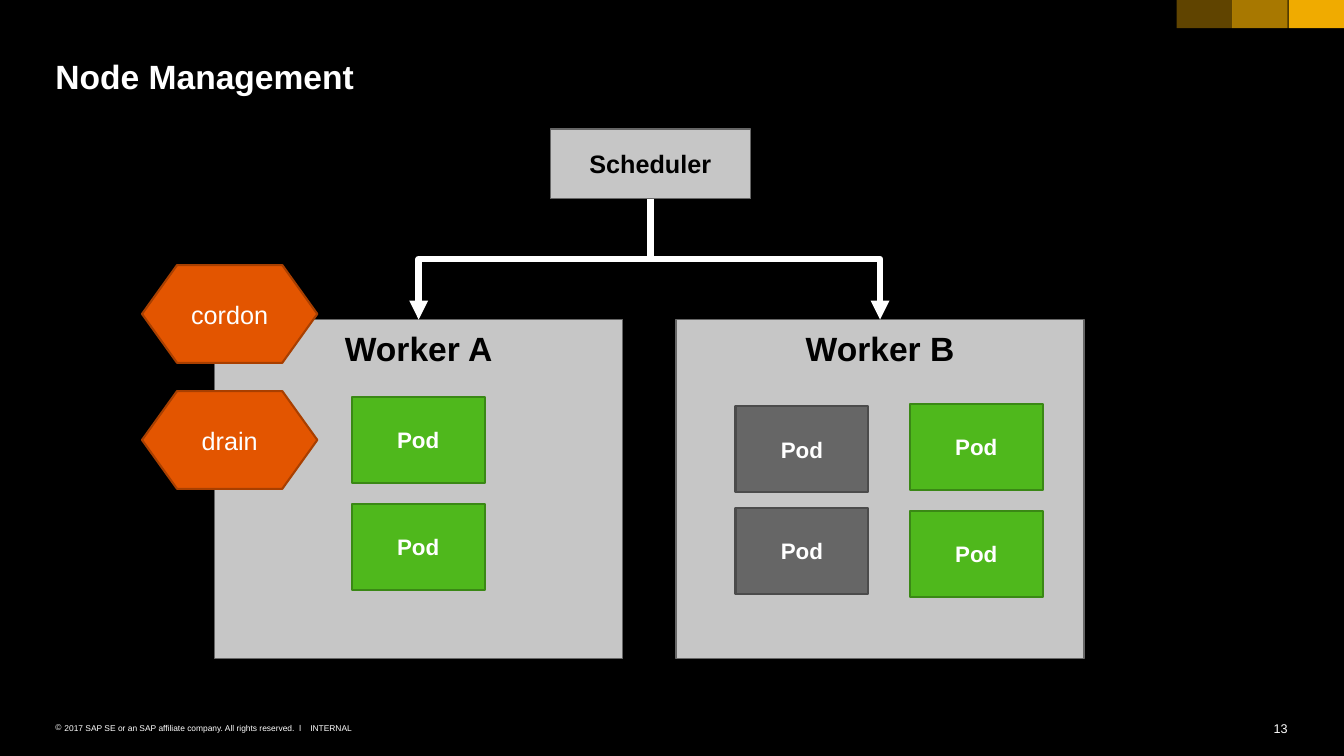
from lxml.etree import SubElement
from pptx import Presentation
from pptx.dml.color import RGBColor
from pptx.enum.shapes import MSO_CONNECTOR, MSO_SHAPE
from pptx.enum.text import MSO_ANCHOR, PP_ALIGN
from pptx.oxml.ns import qn
from pptx.util import Inches, Pt

GOLD, GRAY, DARK_GRAY = "F0AB00", "C6C6C6", "666666"
GREEN, ORANGE, WHITE, BLACK = "4FB81C", "E35500", "FFFFFF", "000000"
OUTLINES = {GRAY: DARK_GRAY, GREEN: "3A8815", DARK_GRAY: "4B4B4B", ORANGE: "A83F00"}


def rgb(color):
    return RGBColor.from_string(color)


def write(paragraph, text, size, color, bold=False, align=PP_ALIGN.LEFT):
    paragraph.text = text
    paragraph.alignment = align
    font = paragraph.font
    font.name, font.size, font.bold = "Arial", Pt(size), bold
    font.color.rgb = rgb(color)


def add_text(slide, box, text, size, bold=False, align=PP_ALIGN.LEFT, wrap=True, bullet=None):
    frame = slide.shapes.add_textbox(*map(Inches, box)).text_frame
    frame.margin_left = frame.margin_right = frame.margin_top = frame.margin_bottom = 0
    frame.word_wrap = wrap
    paragraph = frame.paragraphs[0]
    if bullet:
        properties = paragraph._p.get_or_add_pPr()
        properties.set("marL", str(Inches(0.09)))
        properties.set("indent", str(Inches(-0.09)))
        bullet_color = SubElement(properties, qn("a:buClr"))
        SubElement(bullet_color, qn("a:srgbClr"), val=WHITE)
        SubElement(properties, qn("a:buFont"), typeface="Arial")
        SubElement(properties, qn("a:buChar"), char=bullet)
    write(paragraph, text, size, WHITE, bold, align)


def add_bar(slide, left, opacity):
    bar = slide.shapes.add_shape(
        MSO_SHAPE.RECTANGLE, Inches(left), 0, Inches(0.55), Inches(0.28))
    bar.shadow.inherit = False
    bar.fill.solid()
    bar.fill.fore_color.rgb = rgb(GOLD)
    bar.line.fill.background()
    if opacity < 100:
        color = bar._element.spPr.find(".//" + qn("a:srgbClr"))
        SubElement(color, qn("a:alpha"), val=str(opacity * 1000))


def add_box(slide, box, text, size, fill, kind=MSO_SHAPE.RECTANGLE,
            anchor=MSO_ANCHOR.MIDDLE, bold=True):
    shape = slide.shapes.add_shape(kind, *map(Inches, box))
    shape.shadow.inherit = False
    shape.fill.solid()
    shape.fill.fore_color.rgb = rgb(fill)
    shape.line.color.rgb = rgb(OUTLINES[fill])
    shape.line.width = Pt(0.79 if fill == GRAY else 1.5)
    frame = shape.text_frame
    frame.word_wrap = True
    frame.vertical_anchor = anchor
    frame.margin_left = frame.margin_right = Inches(0.1)
    frame.margin_top = frame.margin_bottom = Inches(0.08)
    color = BLACK if fill == GRAY else WHITE
    write(frame.paragraphs[0], text, size, color, bold, PP_ALIGN.CENTER)
    return shape


def add_shadow(shape):
    effects = shape._element.spPr.find(qn("a:effectLst"))
    shadow = SubElement(effects, qn("a:outerShdw"), blurRad=str(Pt(3)),
                        dist=str(Pt(2.4)), dir="5400000", rotWithShape="0")
    color = SubElement(shadow, qn("a:srgbClr"), val=BLACK)
    SubElement(color, qn("a:alpha"), val="45000")


def add_worker(slide, left, name):
    worker = add_box(slide, (left, 3.17, 4.05, 3.36), name, 24, GRAY, anchor=MSO_ANCHOR.TOP)
    add_shadow(worker)
    return worker


def add_pods(slide, left, tops, fill):
    for top in tops:
        add_box(slide, (left, top, 1.32, 0.85), "Pod", 16, fill)


def add_command(slide, top, name):
    add_box(slide, (1.41, top, 1.74, 0.97), name, 18, ORANGE,
            MSO_SHAPE.FLOWCHART_PREPARATION, bold=False)


def add_elbow_arrow(slide, upper, lower):
    """Run down from upper, sideways, then down to lower: a turned elbow connector."""
    connector = slide.shapes.add_connector(MSO_CONNECTOR.ELBOW, 0, 0, 0, 0)
    connector.begin_connect(upper, 2)
    connector.end_connect(lower, 0)
    start_x, start_y = connector.begin_x, connector.begin_y
    end_x, end_y = connector.end_x, connector.end_y
    drop, span = end_y - start_y, abs(end_x - start_x)
    connector.left = (start_x + end_x - drop) // 2
    connector.top = (start_y + end_y - span) // 2
    connector.width, connector.height = drop, span
    properties = connector._element.spPr
    transform = properties.find(qn("a:xfrm"))
    to_left = end_x < start_x
    transform.set("rot", "5400000" if to_left else "16200000")
    transform.set("flipH", "0" if to_left else "1")
    connector.line.color.rgb = rgb(WHITE)
    connector.line.width = Pt(4.5)
    SubElement(properties.find(qn("a:ln")), qn("a:tailEnd"), type="triangle")
    SubElement(properties, qn("a:effectLst"))


def main():
    presentation = Presentation()
    presentation.slide_width, presentation.slide_height = Inches(13.34), Inches(7.5)
    slide = presentation.slides.add_slide(presentation.slide_layouts[6])
    slide.background.fill.solid()
    slide.background.fill.fore_color.rgb = rgb(BLACK)

    add_text(slide, (12.63, 7.15, 0.15, 0.15), "13", 9, align=PP_ALIGN.RIGHT, wrap=False)
    add_text(slide, (3.08, 7.17, 0.42, 0.1), "INTERNAL", 6, wrap=False)
    add_text(slide, (0.55, 7.17, 2.48, 0.1),
             "2017 SAP SE or an SAP affiliate company. All rights reserved.  ǀ", 6, bullet="©")
    for left, opacity in ((12.79, 100), (12.23, 70), (11.68, 40)):
        add_bar(slide, left, opacity)
    add_text(slide, (0.55, 0.55, 12.23, 0.4), "Node Management", 24, bold=True)

    worker_a = add_worker(slide, 2.13, "Worker A")
    add_pods(slide, 3.49, (3.94, 5), GREEN)
    worker_b = add_worker(slide, 6.71, "Worker B")
    add_pods(slide, 7.3, (4.03, 5.04), DARK_GRAY)
    add_pods(slide, 9.03, (4.01, 5.07), GREEN)

    scheduler = add_box(slide, (5.46, 1.28, 1.99, 0.69), "Scheduler", 18, GRAY)
    add_shadow(scheduler)
    for worker in (worker_a, worker_b):
        add_elbow_arrow(slide, scheduler, worker)

    add_command(slide, 2.63, "cordon")
    add_command(slide, 3.88, "drain")
    presentation.save("out.pptx")


if __name__ == "__main__":
    main()
